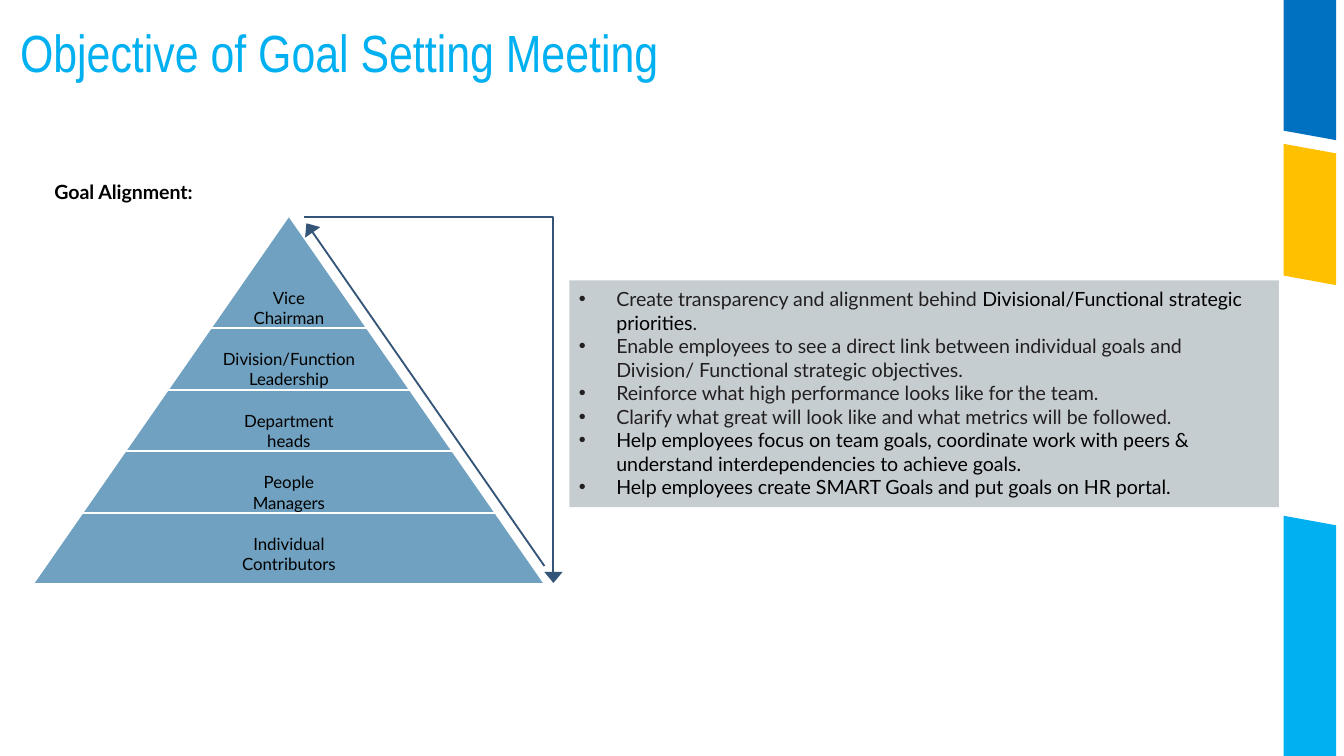
import pptx
import pptx.util
import pptx.dml.color
import pptx.enum.shapes
import pptx.enum.text
import pptx.oxml
import pptx.oxml.ns
from pptx.util import Cm, Pt

COLORS = {
    "cyan": "00B0F0", "amber": "FFC000", "blue": "0070C0", "arrow": "355578",
    "pyramid": "70A1C0", "panel": "C6CDD1", "ink": "221F20",
    "black": "000000", "white": "FFFFFF",
}
LEVELS = [
    ("Vice Chairman", 1.8),
    ("Division/Function Leadership", 3.66),
    ("Department heads", 2.29),
    ("People Managers", 2.13),
    ("Individual Contributors", 2.79),
]
OBJECTIVES = [
    [("Create transparency and alignment behind ", "ink"),
     ("Divisional/Functional strategic priorities", "black"), (".", "ink")],
    [("Enable employees to see a direct link between individual goals and "
      "Division/ Functional strategic objectives.", "ink")],
    [("Reinforce what high performance looks like for the team.", "ink")],
    [("Clarify what great will look like and what metrics will be followed.", "ink")],
    [("Help employees focus on team goals, coordinate work with peers & "
      "understand interdependencies to achieve goals.", "black")],
    [("Help employees create SMART Goals and put goals on HR portal.", "black")],
]


def rgb(name):
    return pptx.dml.color.RGBColor.from_string(COLORS[name])


def add_xml(parent, tag, **attributes):
    element = pptx.oxml.parse_xml(f"<a:{tag} {pptx.oxml.ns.nsdecls('a')}/>")
    for key, value in attributes.items():
        element.set(key, value)
    parent.append(element)
    return element


def paint(shape, color):
    shape.shadow.inherit = False
    shape.fill.solid()
    shape.fill.fore_color.rgb = rgb(color)
    shape.line.fill.background()


def style(font, size, color=None, name="Lato", bold=None):
    font.name = name
    font.size = Pt(size)
    font.bold = bold
    if color:
        font.color.rgb = rgb(color)


def set_insets(frame, left, top, right, bottom):
    frame.word_wrap = True
    frame.margin_left, frame.margin_top = Cm(left), Cm(top)
    frame.margin_right, frame.margin_bottom = Cm(right), Cm(bottom)


def draw_outline(slide, points, close):
    (first_x, first_y), *others = [(Cm(x), Cm(y)) for x, y in points]
    builder = slide.shapes.build_freeform(first_x, first_y)
    builder.add_line_segments(others, close=close)
    return builder.convert_to_shape()


def add_line(slide, x1, y1, x2, y2, color):
    line = slide.shapes.add_connector(
        pptx.enum.shapes.MSO_CONNECTOR.STRAIGHT, Cm(x1), Cm(y1), Cm(x2), Cm(y2))
    line.line.color.rgb = rgb(color)
    line.line.width = Pt(1)
    add_xml(line._element.spPr, "effectLst")
    return line


def add_arrowhead(shape):
    add_xml(shape.line._get_or_add_ln(), "tailEnd", type="triangle", w="lg", len="med")


def place_title(slide, left, top, width, height):
    title = slide.shapes.title
    title.left, title.top, title.width, title.height = map(Cm, (left, top, width, height))
    frame = title.text_frame
    set_insets(frame, 0, 0, 0, 0)
    frame.auto_size = pptx.enum.text.MSO_AUTO_SIZE.NONE
    frame.vertical_anchor = pptx.enum.text.MSO_ANCHOR.BOTTOM
    frame.text = "Objective of Goal Setting Meeting"
    heading = frame.paragraphs[0]
    heading.alignment = pptx.enum.text.PP_ALIGN.LEFT
    heading.line_spacing = 0.9
    style(heading.font, 28, "cyan", "Arial Narrow")


def place_ribbon(slide, left, top, width, height):
    right, bottom, slant = left + width, top + height, 0.18
    bands = [
        ("cyan", 9.75, bottom, slant, 0),
        ("amber", 2.72, 5.21, slant, slant),
        ("blue", top, 2.47, 0, slant),
    ]
    for color, start, end, start_slant, end_slant in bands:
        corners = [(left, start), (right, start + start_slant),
                   (right, end + end_slant), (left, end)]
        paint(draw_outline(slide, corners, True), color)


def place_pyramid(slide, left, top, width, height):
    middle, right, bottom = left + width / 2, left + width, top + height
    pitch = 1.165

    cascade = draw_outline(
        slide, [(middle + 0.28, top), (right + 0.2, top), (right + 0.2, bottom)], False)
    cascade.shadow.inherit = False
    cascade.fill.background()
    cascade.line.color.rgb = rgb("arrow")
    cascade.line.width = Pt(1)
    add_arrowhead(cascade)

    pyramid = slide.shapes.add_shape(
        pptx.enum.shapes.MSO_SHAPE.ISOSCELES_TRIANGLE,
        Cm(left), Cm(top), Cm(width), Cm(height))
    paint(pyramid, "pyramid")

    for row, (level, label_width) in enumerate(LEVELS):
        label = slide.shapes.add_textbox(
            Cm(middle - label_width / 2), Cm(top + 1.19 + row * pitch),
            Cm(label_width), Cm(0.64))
        set_insets(label.text_frame, 0, 0.13, 0, 0.13)
        label.text_frame.text = level
        caption = label.text_frame.paragraphs[0]
        caption.alignment = pptx.enum.text.PP_ALIGN.CENTER
        style(caption.font, 9, "black")

    for row in range(len(LEVELS) - 1):
        y = top + 2.09 + row * pitch
        add_line(slide, left - 0.05, y, right + 0.05, y, "white")

    ascent = add_line(slide, right + 0.03, bottom - 0.32, middle + 0.33, top + 0.11, "arrow")
    add_arrowhead(ascent)


def place_objectives(slide, left, top, width, height):
    panel = slide.shapes.add_shape(
        pptx.enum.shapes.MSO_SHAPE.RECTANGLE, Cm(left), Cm(top), Cm(width), Cm(height))
    paint(panel, "panel")
    frame = panel.text_frame
    set_insets(frame, 0.18, 0.13, 0.3, 0.13)
    frame.vertical_anchor = pptx.enum.text.MSO_ANCHOR.TOP
    for index, objective in enumerate(OBJECTIVES):
        item = frame.paragraphs[0] if index == 0 else frame.add_paragraph()
        item.alignment = pptx.enum.text.PP_ALIGN.LEFT
        properties = item._p.get_or_add_pPr()
        properties.set("marL", str(Cm(0.71)))
        properties.set("indent", str(-Cm(0.71)))
        add_xml(add_xml(properties, "buClr"), "srgbClr", val=COLORS["ink"])
        add_xml(properties, "buSzPct", val="101000")
        add_xml(properties, "buFont", typeface="Arial")
        add_xml(properties, "buChar", char="•")
        style(item.font, 10.5)
        for words, color in objective:
            run = item.add_run()
            run.text = words
            run.font.color.rgb = rgb(color)


def place_caption(slide, left, top, width, height):
    caption = slide.shapes.add_textbox(Cm(left), Cm(top), Cm(width), Cm(height))
    set_insets(caption.text_frame, 0.18, 0.13, 0.25, 0.13)
    caption.text_frame.text = "Goal Alignment:"
    style(caption.text_frame.paragraphs[0].font, 10.5, "black", bold=True)


def main():
    deck = pptx.Presentation()
    deck.slide_width, deck.slide_height = Cm(25.4), Cm(14.29)
    slide = deck.slides.add_slide(deck.slide_layouts[5])
    place_ribbon(slide, 24.26, 0, 0.99, 14.29)
    place_title(slide, 0.38, 0.65, 23.88, 0.94)
    place_pyramid(slide, 0.66, 4.11, 9.6, 6.91)
    place_objectives(slide, 10.76, 5.3, 13.41, 4.29)
    place_caption(slide, 0.85, 3.27, 5.41, 0.71)
    deck.save("out.pptx")


if __name__ == "__main__":
    main()
